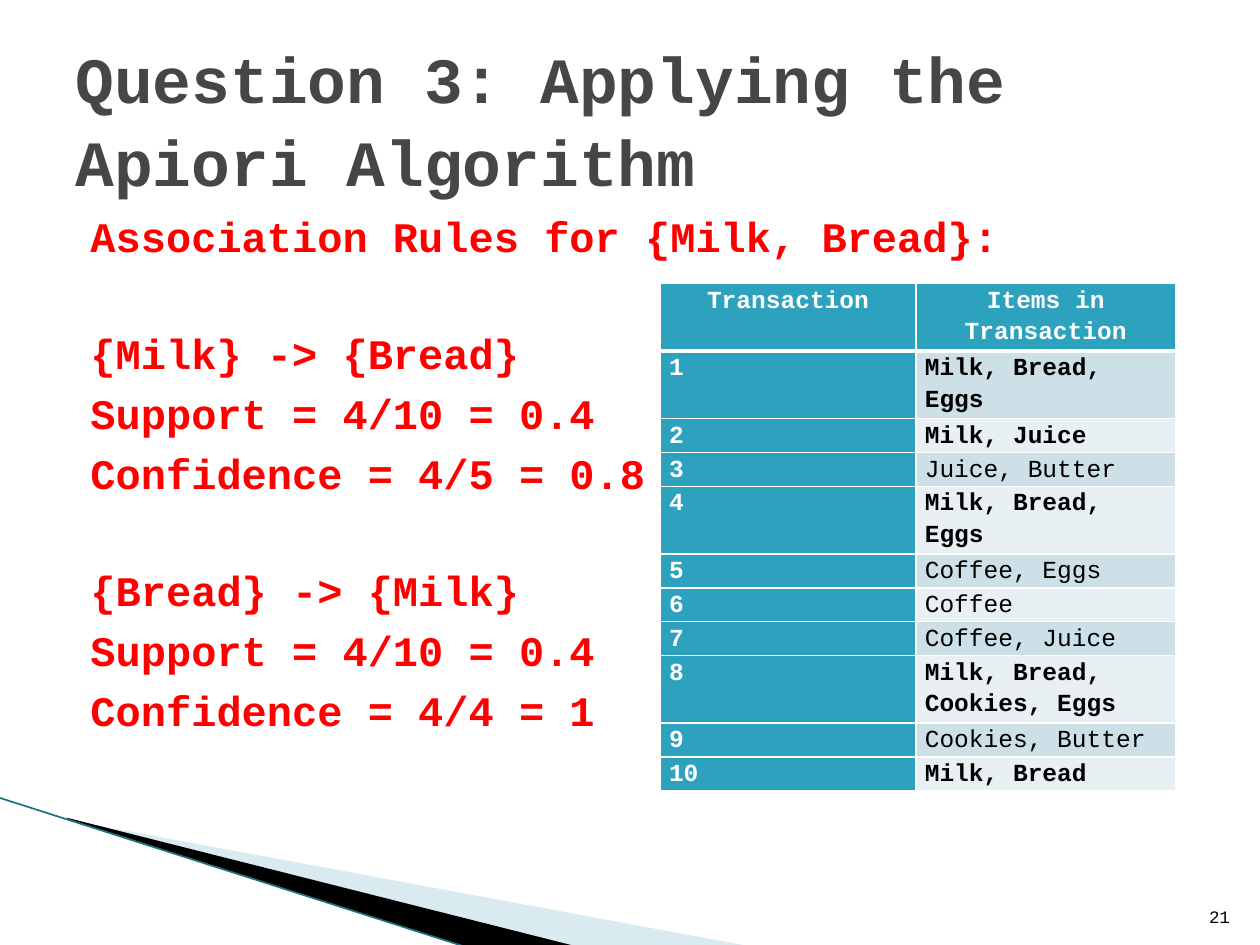
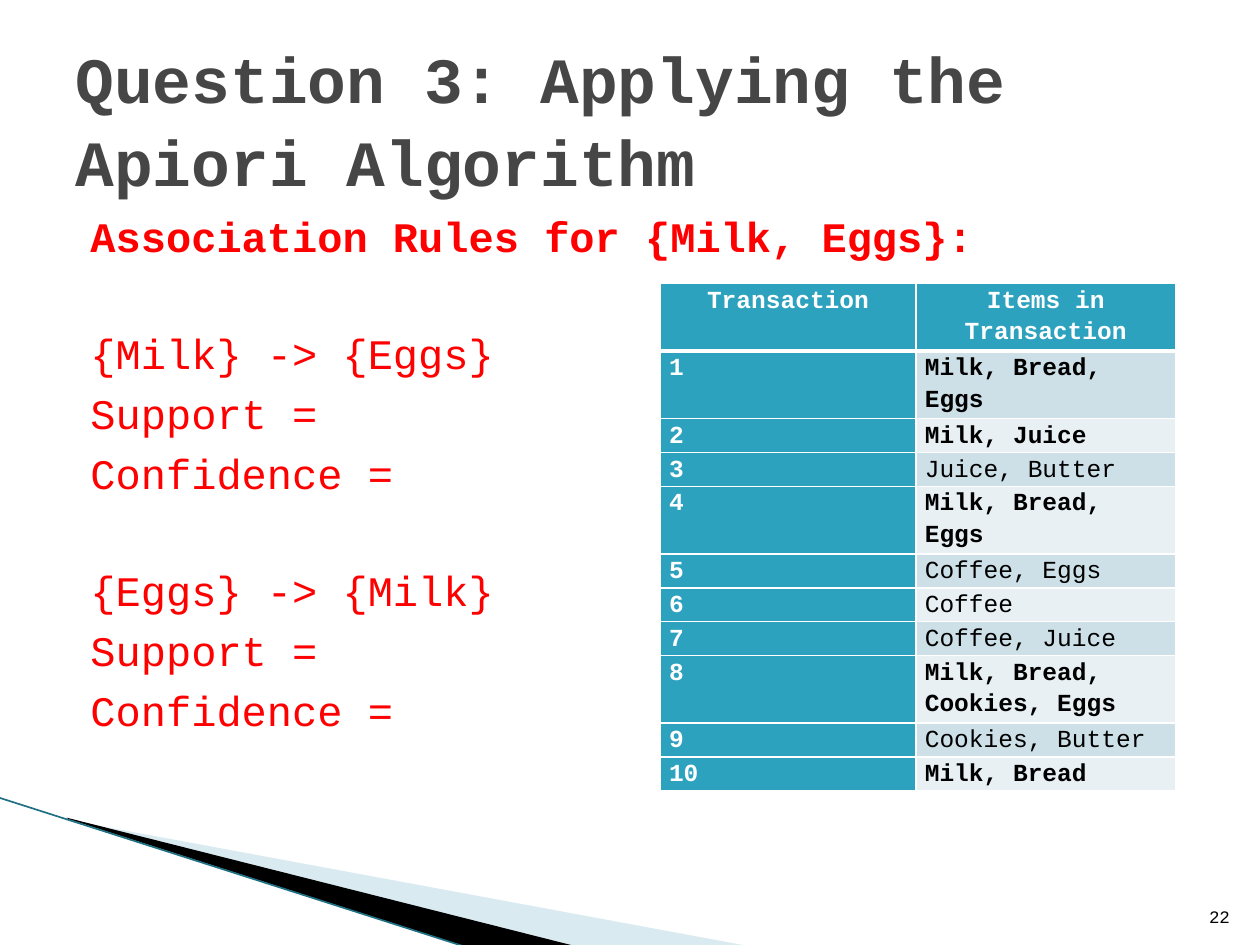
from dataclasses import dataclass

from lxml.etree import SubElement
from pptx import Presentation
from pptx.dml.color import RGBColor
from pptx.enum.shapes import MSO_CONNECTOR
from pptx.enum.text import MSO_ANCHOR, PP_ALIGN
from pptx.oxml.ns import qn
from pptx.slide import Slide
from pptx.table import _Cell
from pptx.text.text import _Paragraph
from pptx.util import Inches, Pt

FONT = "Courier New"
COLORS = {
    "background": "FFFFFF",
    "title": "464646",
    "rule": "FF0000",
    "text": "000000",
    "header": "2DA2BF",
    "header_text": "FFFFFF",
    "odd_row": "CDE0E8",
    "even_row": "E8F0F4",
    "border": "FFFFFF",
    "pale_band": "A0CBDC",
    "dark_band": "000000",
    "band_edge": "1F7083",
}
TITLE = "Question 3: Applying the Apiori Algorithm"
HEADINGS = ("Transaction", "Items in Transaction")
TRANSACTIONS = (
    "Milk, Bread, Eggs",
    "Milk, Juice",
    "Juice, Butter",
    "Milk, Bread, Eggs",
    "Coffee, Eggs",
    "Coffee",
    "Coffee, Juice",
    "Milk, Bread, Cookies, Eggs",
    "Cookies, Butter",
    "Milk, Bread",
)
COLUMN_WIDTHS = (2.03, 2.06)
LINE_HEIGHT = 0.25
RULE_GAP = 5.5
GROUP_GAP = 38.2


@dataclass
class Box:
    """A rectangle in inches."""
    left: float
    top: float
    width: float
    height: float


@dataclass
class Band:
    """A filled outline of the corner decoration, in inches."""
    points: tuple[tuple[float, float], ...]
    color: str
    opacity: int = 100


@dataclass
class RulePage:
    """The association rules of one item set."""
    number: int
    heading: str
    groups: tuple[tuple[str, ...], ...]
    solved: bool


BANDS = (
    Band(((0.55, 6.51), (5.95, 7.51), (4.56, 7.51), (0.55, 6.5)), "pale_band", 40),
    Band(((0.53, 6.49), (4.57, 7.51), (3.72, 7.52), (0.54, 6.5)), "dark_band"),
)
PAGES = (
    RulePage(21, "Association Rules for {Milk, Bread}:", (
        ("{Milk} -> {Bread}", "Support = 4/10 = 0.4", "Confidence = 4/5 = 0.8"),
        ("{Bread} -> {Milk}", "Support = 4/10 = 0.4", "Confidence = 4/4 = 1"),
    ), solved=True),
    RulePage(22, "Association Rules for {Milk, Eggs}:", (
        ("{Milk} -> {Eggs}", "Support =", "Confidence ="),
        ("{Eggs} -> {Milk}", "Support =", "Confidence ="),
    ), solved=False),
)


def color(name: str) -> RGBColor:
    """Look up a named colour."""
    return RGBColor.from_string(COLORS[name])


def style(para: _Paragraph, size: float, color_name: str, bold: bool = False) -> None:
    """Format every run of a paragraph."""
    for span in para.runs:
        span.font.name = FONT
        span.font.size = Pt(size)
        span.font.bold = bold
        span.font.color.rgb = color(color_name)


def add_box(page: Slide, area: Box, lines: list[str], anchor: MSO_ANCHOR) -> list[_Paragraph]:
    """Add a wrapping text box with one paragraph per line."""
    box = page.shapes.add_textbox(Inches(area.left), Inches(area.top),
                                  Inches(area.width), Inches(area.height))
    frame = box.text_frame
    frame.word_wrap = True
    frame.vertical_anchor = anchor
    frame.text = "\n".join(lines)
    return list(frame.paragraphs)


def add_decoration(page: Slide) -> None:
    """Draw the bands in the lower left corner and their edge line."""
    for band in BANDS:
        points = [(Inches(x), Inches(y)) for x, y in band.points]
        builder = page.shapes.build_freeform(*points[0], scale=1.0)
        builder.add_line_segments(points[1:], close=True)
        shape = builder.convert_to_shape()
        shape.shadow.inherit = False
        shape.line.fill.background()
        shape.fill.solid()
        shape.fill.fore_color.rgb = color(band.color)
        if band.opacity < 100:
            tint = shape.fill._xPr.find(qn("a:solidFill"))[0]
            SubElement(tint, qn("a:alpha"), val=str(band.opacity * 1000))
    edge = page.shapes.add_connector(MSO_CONNECTOR.STRAIGHT, Inches(-0.01), Inches(6.33),
                                     Inches(3.71), Inches(7.52))
    edge.line.color.rgb = color("band_edge")
    edge.line.width = Pt(0.95)
    SubElement(edge._element.spPr, qn("a:effectLst"))


def add_title(page: Slide) -> None:
    """Add the shared title."""
    para, = add_box(page, Box(0.5, 0.3, 9, 1.25), [TITLE], MSO_ANCHOR.MIDDLE)
    para.line_spacing = 1.07
    style(para, 36.9, "title", bold=True)


def add_page_number(page: Slide, number: int) -> None:
    """Add the page number at the lower right."""
    para, = add_box(page, Box(9.46, 7.01, 0.4, 0.4), [str(number)], MSO_ANCHOR.BOTTOM)
    para.alignment = PP_ALIGN.RIGHT
    style(para, 10, "text")


def add_rules(page: Slide, content: RulePage) -> None:
    """Add the heading and the groups of rules, set apart by spacing."""
    lines = [content.heading, *(line for group in content.groups for line in group)]
    paras = add_box(page, Box(0.5, 1.62, 9, 4.95), lines, MSO_ANCHOR.TOP)
    for index, para in enumerate(paras):
        starts_group = index % len(content.groups[0]) == 1
        para.space_before = Pt(GROUP_GAP if starts_group else RULE_GAP)
        para._p.get_or_add_pPr().set("marL", str(Inches(0.12)))
        style(para, 24, "rule", bold=content.solved or index == 0)


def add_borders(cell: _Cell, row: int) -> None:
    """Draw thin cell borders, with a thick line below the header."""
    widths = {"lnL": 1, "lnR": 1, "lnT": 3 if row == 1 else 1, "lnB": 3 if row == 0 else 1}
    properties = cell._tc.get_or_add_tcPr()
    for side, width in widths.items():
        line = SubElement(properties, qn(f"a:{side}"), w=str(Pt(width)))
        fill = SubElement(line, qn("a:solidFill"))
        SubElement(fill, qn("a:srgbClr"), val=COLORS["border"])


def fill_cell(cell: _Cell, text: str, row: int, column: int) -> None:
    """Write and format one table cell; purchases with milk are bold."""
    is_item = row > 0 and column == 1
    cell.margin_left = cell.margin_right = Inches(0.07)
    cell.margin_top = cell.margin_bottom = 0
    add_borders(cell, row)
    cell.fill.solid()
    stripe = "odd_row" if row % 2 else "even_row"
    cell.fill.fore_color.rgb = color(stripe if is_item else "header")
    cell.text_frame.text = text
    para = cell.text_frame.paragraphs[0]
    para.line_spacing = 1.15
    para.alignment = PP_ALIGN.LEFT if row else PP_ALIGN.CENTER
    style(para, 14, "text" if is_item else "header_text", bold=not is_item or "Milk" in text)


def add_transactions(page: Slide) -> None:
    """Add the table of transactions."""
    rows = [HEADINGS, *((str(number), items) for number, items in enumerate(TRANSACTIONS, 1))]
    table = page.shapes.add_table(len(rows), len(HEADINGS), Inches(5.24), Inches(2.25),
                                  Inches(sum(COLUMN_WIDTHS)),
                                  Inches(LINE_HEIGHT * len(rows))).table
    for column, width in zip(table.columns, COLUMN_WIDTHS):
        column.width = Inches(width)
    for row, texts in enumerate(rows):
        for column, text in enumerate(texts):
            fill_cell(table.cell(row, column), text, row, column)


def main() -> None:
    """Build and save the deck."""
    deck = Presentation()
    deck.slide_width, deck.slide_height = Inches(10), Inches(7.5)
    for content in PAGES:
        page = deck.slides.add_slide(deck.slide_layouts[6])
        page.background.fill.solid()
        page.background.fill.fore_color.rgb = color("background")
        add_decoration(page)
        add_rules(page, content)
        add_title(page)
        add_page_number(page, content.number)
        add_transactions(page)
    deck.save("out.pptx")


main()
